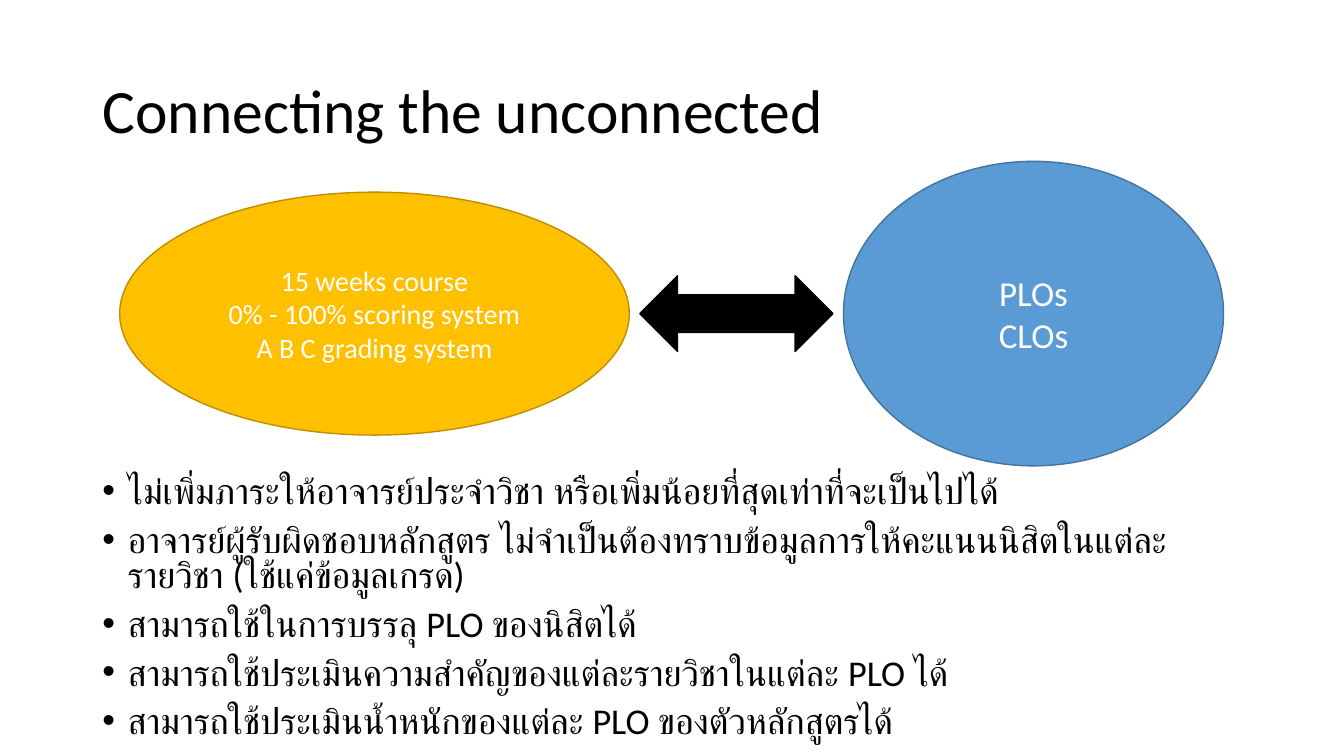
import pptx
import pptx.util
import pptx.dml.color
import pptx.enum.shapes
import pptx.enum.text
from lxml import etree

Pt = pptx.util.Pt
SHAPES = pptx.enum.shapes.MSO_SHAPE
ALIGN = pptx.enum.text.PP_ALIGN
MIDDLE = pptx.enum.text.MSO_ANCHOR.MIDDLE

FONT = "Calibri"
COLORS = {
    "text": "000000", "light": "FFFFFF",
    "blue": "5B9BD5", "blue_line": "43739E",
    "gold": "FFC000", "gold_line": "BD8E00",
}
TITLE = "Connecting the unconnected"
POINTS = [
    "ไม่เพิ่มภาระให้อาจารย์ประจำวิชา หรือเพิ่มน้อยที่สุดเท่าที่จะเป็นไปได้",
    "อาจารย์ผู้รับผิดชอบหลักสูตร ไม่จำเป็นต้องทราบข้อมูลการให้คะแนนนิสิตในแต่ละรายวิชา (ใช้แค่ข้อมูลเกรด)",
    "สามารถใช้ในการบรรลุ PLO ของนิสิตได้",
    "สามารถใช้ประเมินความสำคัญของแต่ละรายวิชาในแต่ละ PLO ได้",
    "สามารถใช้ประเมินน้ำหนักของแต่ละ PLO ของตัวหลักสูตรได้",
]
COURSE = ["15 weeks course", "0% - 100% scoring system", "A B C grading system"]
OUTCOMES = ["PLOs", "CLOs"]

# Shapes share one horizontal axis: kind, left, width, height, fill, line, lines, size
AXIS = 224
FIGURES = [
    (SHAPES.OVAL, 602.5, 271.5, 217.5, "blue", "blue_line", OUTCOMES, 25),
    (SHAPES.OVAL, 85.5, 364, 173.5, "gold", "gold_line", COURSE, 20),
    (SHAPES.LEFT_RIGHT_ARROW, 457, 138, 54, "text", "text", [], 20),
]


def rgb(name):
    return pptx.dml.color.RGBColor.from_string(COLORS[name])


def place(box, left, top, width, height):
    box.left, box.top = Pt(left), Pt(top)
    box.width, box.height = Pt(width), Pt(height)


def write(box, lines, size, color, align, spacing=1.0):
    frame = box.text_frame
    frame.word_wrap = True
    frame.auto_size = pptx.enum.text.MSO_AUTO_SIZE.NONE
    frame.text = "\n".join(lines)
    for para in frame.paragraphs:
        para.alignment = align
        para.line_spacing = spacing
        for span in para.runs:
            span.font.name = FONT
            span.font.size = Pt(size)
            span.font.color.rgb = rgb(color)


def add_bullet(para, indent):
    props = para._p.get_or_add_pPr()
    props.set("marL", str(Pt(indent)))
    props.set("indent", str(-Pt(indent)))
    for tag, name, value in (("buFont", "typeface", "Arial"), ("buChar", "char", "•")):
        etree.SubElement(props, pptx.oxml.ns.qn("a:" + tag)).set(name, value)


deck = pptx.Presentation()
deck.slide_width, deck.slide_height = Pt(960), Pt(540)
page = deck.slides.add_slide(deck.slide_layouts[1])

title = page.shapes.title
place(title, 66, 28.75, 828, 104.5)
write(title, [TITLE], 44, "text", ALIGN.LEFT, 0.9)
title.text_frame.vertical_anchor = MIDDLE

body = page.placeholders[1]
place(body, 66, 337, 828, 178)
write(body, POINTS, 25.9, "text", ALIGN.LEFT, 0.8)
for number, para in enumerate(body.text_frame.paragraphs):
    para.space_before = Pt(10 if number else 0)
    add_bullet(para, 18)

for kind, left, width, height, fill, line, lines, size in FIGURES:
    figure = page.shapes.add_shape(
        kind, Pt(left), Pt(AXIS - height / 2), Pt(width), Pt(height))
    figure.shadow.inherit = False
    figure.fill.solid()
    figure.fill.fore_color.rgb = rgb(fill)
    figure.line.color.rgb = rgb(line)
    figure.line.width = Pt(1)
    if lines:
        write(figure, lines, size, "light", ALIGN.CENTER)
        figure.text_frame.vertical_anchor = MIDDLE

deck.save("out.pptx")
